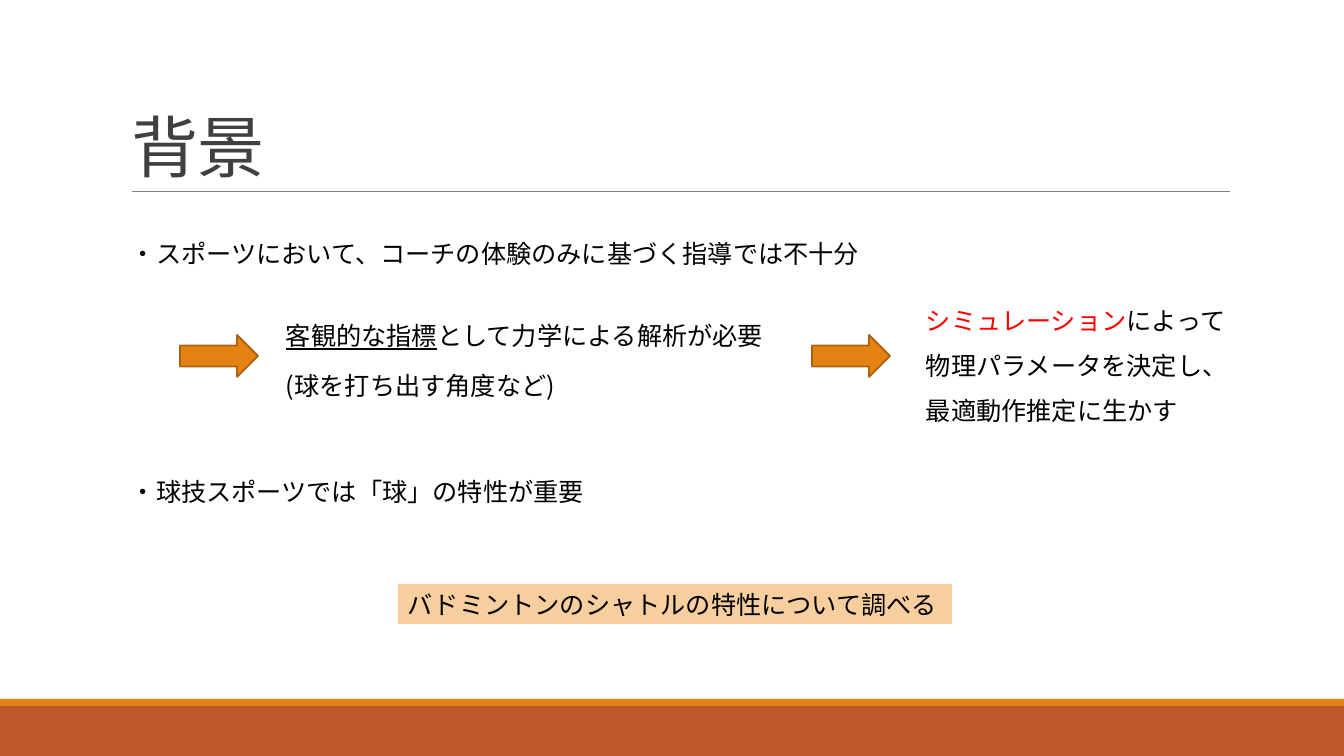
"""Builds the background slide of a talk on shuttlecock mechanics."""
from lxml.etree import SubElement
from pptx import Presentation
from pptx.dml.color import RGBColor
from pptx.enum.shapes import MSO_CONNECTOR, MSO_SHAPE
from pptx.enum.text import MSO_ANCHOR, MSO_AUTO_SIZE, PP_ALIGN
from pptx.oxml.ns import qn
from pptx.util import Emu, Pt

PX = 914400 / 100.8
WIDTH, HEIGHT = 1344, 756
FONT = "Noto Sans CJK JP"
COLORS = {
    "black": "000000",
    "title": "404040",
    "red": "FF0000",
    "rule": "808080",
    "rust": "BD582C",
    "orange": "E48312",
    "arrow_edge": "A9610D",
    "peach": "F7CE9D",
}


def px(*lengths):
    return [Emu(round(length * PX)) for length in lengths]


def color(name):
    return RGBColor.from_string(COLORS[name])


def format_paragraph(paragraph, size, name, latin, spacing=None):
    paragraph.alignment = PP_ALIGN.LEFT
    paragraph.line_spacing = spacing
    font = paragraph.font
    font.size = Pt(size)
    font.color.rgb = color(name)
    font.name = latin
    properties = paragraph._p.pPr.find(qn("a:defRPr"))
    SubElement(properties, qn("a:ea")).set("typeface", FONT)
    return properties


def write_lines(frame, lines, spacing=None, wrap=False):
    frame.word_wrap = wrap
    frame.vertical_anchor = MSO_ANCHOR.TOP
    for index, line in enumerate(lines):
        paragraph = frame.add_paragraph() if index else frame.paragraphs[0]
        format_paragraph(paragraph, 18, "black", FONT, spacing)
        for text, style in line:
            run = paragraph.add_run()
            run.text = text
            if style == "underline":
                run.font.underline = True
            elif style:
                run.font.color.rgb = color(style)


def add_text(slide, box, lines, spacing=None, wrap=False):
    shape = slide.shapes.add_textbox(*px(*box))
    write_lines(shape.text_frame, lines, spacing, wrap)


def add_block(slide, kind, box, fill, edge=None):
    shape = slide.shapes.add_shape(kind, *px(*box))
    shape.shadow.inherit = False
    shape.fill.solid()
    shape.fill.fore_color.rgb = color(fill)
    if edge:
        shape.line.color.rgb = color(edge)
        shape.line.width = Pt(1.25)
    else:
        shape.line.fill.background()
    return shape


def add_rule(slide, left, right, y):
    rule = slide.shapes.add_connector(MSO_CONNECTOR.STRAIGHT, *px(left, y, right, y))
    rule.line.color.rgb = color("rule")
    rule.line.width = Pt(0.5)
    SubElement(rule._element.spPr, qn("a:effectLst"))


def set_title(slide, text, box):
    title = slide.shapes.title
    title.left, title.top, title.width, title.height = px(*box)
    frame = title.text_frame
    frame.text = text
    frame.auto_size = MSO_AUTO_SIZE.NONE
    frame.vertical_anchor = MSO_ANCHOR.BOTTOM
    properties = format_paragraph(frame.paragraphs[0], 48, "title", "Calibri", 0.85)
    properties.set("spc", "-50")


def main():
    presentation = Presentation()
    presentation.slide_width, presentation.slide_height = px(WIDTH, HEIGHT)
    slide = presentation.slides.add_slide(presentation.slide_layouts[5])

    add_block(slide, MSO_SHAPE.RECTANGLE, (0, 706, WIDTH, 50), "rust")
    add_block(slide, MSO_SHAPE.RECTANGLE, (0, 699, WIDTH, 7), "orange")
    add_rule(slide, 132, 1230, 191)
    set_title(slide, "背景", (121, 31, 1109, 160))

    for top, width, point in (
        (233, 758, "・スポーツにおいて、コーチの体験のみに基づく指導では不十分"),
        (471, 479, "・球技スポーツでは「球」の特性が重要"),
    ):
        add_text(slide, (121, top, width, 40), [[(point, None)]])

    for left in (180, 812):
        add_block(slide, MSO_SHAPE.RIGHT_ARROW, (left, 335, 78, 42), "orange", "arrow_edge")

    need = [("客観的な指標", "underline"), ("として力学による解析が必要", None)]
    add_text(slide, (276, 315, 510, 40), [need], wrap=True)
    add_text(slide, (276, 365, 290, 40), [[("(球を打ち出す角度など)", None)]], wrap=True)
    add_text(slide, (916, 285, 326, 140), [
        [("シミュレーション", "red"), ("によって", None)],
        [("物理パラメータを決定し、", None)],
        [("最適動作推定に生かす", None)],
    ], spacing=1.5)

    aim = add_block(slide, MSO_SHAPE.RECTANGLE, (398, 584, 554, 40), "peach")
    write_lines(aim.text_frame, [[("バドミントンのシャトルの特性について調べる", None)]])

    presentation.save("out.pptx")


if __name__ == "__main__":
    main()
